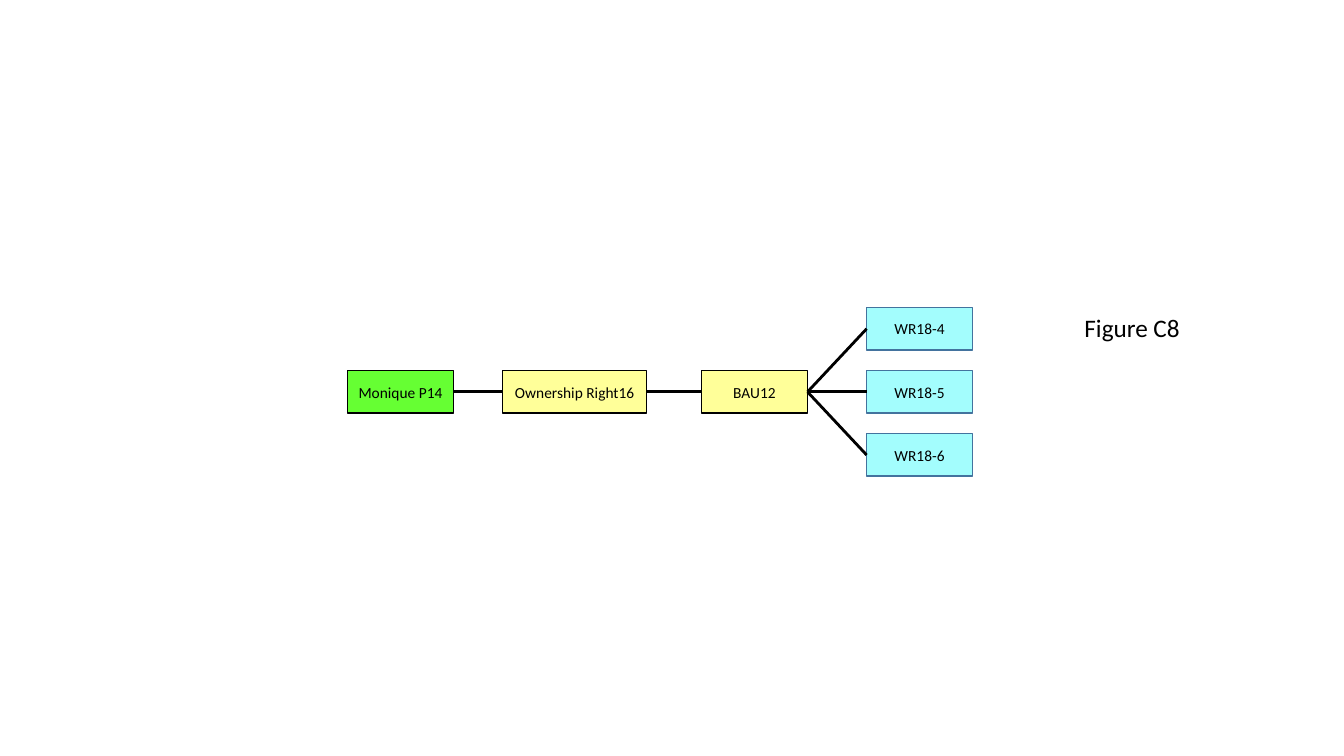
from lxml.etree import SubElement
from pptx import Presentation
from pptx.dml.color import RGBColor
from pptx.enum.shapes import MSO_CONNECTOR as Link, MSO_SHAPE as Shape
from pptx.enum.text import MSO_ANCHOR as Anchor, PP_ALIGN as Align
from pptx.oxml.ns import qn
from pptx.util import Cm, Pt

BLACK = RGBColor(0x00, 0x00, 0x00)
GREEN = RGBColor(0x66, 0xFF, 0x33)
YELLOW = RGBColor(0xFF, 0xFF, 0x99)
CYAN = RGBColor(0x69, 0xFD, 0xFD)
BLUE = RGBColor(0x43, 0x73, 0x9E)

RIGHT, LEFT = 3, 1
MID, STEP = 9.34, 1.59  # top of the middle row, row pitch


def write(frame, text, size=11, align=Align.CENTER, anchor=Anchor.MIDDLE):
    frame.word_wrap = True
    frame.vertical_anchor = anchor
    par = frame.paragraphs[0]
    par.alignment = align
    run = par.add_run()
    run.text = text
    run.font.name = "Calibri"
    run.font.size = Pt(size)
    run.font.color.rgb = BLACK


class Chart:
    """Draws the boxes, links and labels of an ownership diagram."""

    def __init__(self, slide):
        self.shapes = slide.shapes

    def box(self, text, x, y=MID, wide=2.67, fill=YELLOW, edge=BLACK, alpha=None):
        """Alpha is the opacity of the fill in percent."""
        box = self.shapes.add_shape(
            Shape.RECTANGLE, Cm(x), Cm(y), Cm(wide), Cm(1.07))
        box.shadow.inherit = False
        box.fill.solid()
        box.fill.fore_color.rgb = fill
        if alpha:
            tint = box.fill._xPr.find(f"{qn('a:solidFill')}/{qn('a:srgbClr')}")
            SubElement(tint, qn("a:alpha"), val=str(alpha * 1000))
        box.line.color.rgb = edge
        box.line.width = Pt(1)
        frame = box.text_frame
        frame.margin_left = frame.margin_right = Cm(0.2)
        write(frame, text)
        return box

    def join(self, start, end):
        line = self.shapes.add_connector(Link.STRAIGHT, 0, 0, 0, 0)
        line.begin_connect(start, RIGHT)
        line.end_connect(end, LEFT)
        line.line.color.rgb = BLACK
        line.line.width = Pt(2)
        SubElement(line._element.spPr, qn("a:effectLst"))

    def label(self, text, x, y, wide, high):
        area = self.shapes.add_textbox(Cm(x), Cm(y), Cm(wide), Cm(high))
        write(area.text_frame, text, size=18, align=Align.LEFT, anchor=Anchor.TOP)


def main():
    deck = Presentation()
    deck.slide_width, deck.slide_height = Cm(33.87), Cm(19.05)
    chart = Chart(deck.slides.add_slide(deck.slide_layouts[6]))

    person = chart.box("Monique P14", 8.76, fill=GREEN)
    right = chart.box("Ownership Right16", 12.67, wide=3.63)
    unit = chart.box("BAU12", 17.68)
    rights = [
        chart.box(f"WR18-{num}", 21.84, MID + (num - 5) * STEP,
                  fill=CYAN, edge=BLUE, alpha=61)
        for num in (4, 5, 6)
    ]

    chart.join(person, right)
    chart.join(right, unit)
    for water in rights:
        chart.join(unit, water)

    chart.label("Figure C8", 27.08, 7.75, 4.47, 1.02)
    deck.save("out.pptx")


if __name__ == "__main__":
    main()
